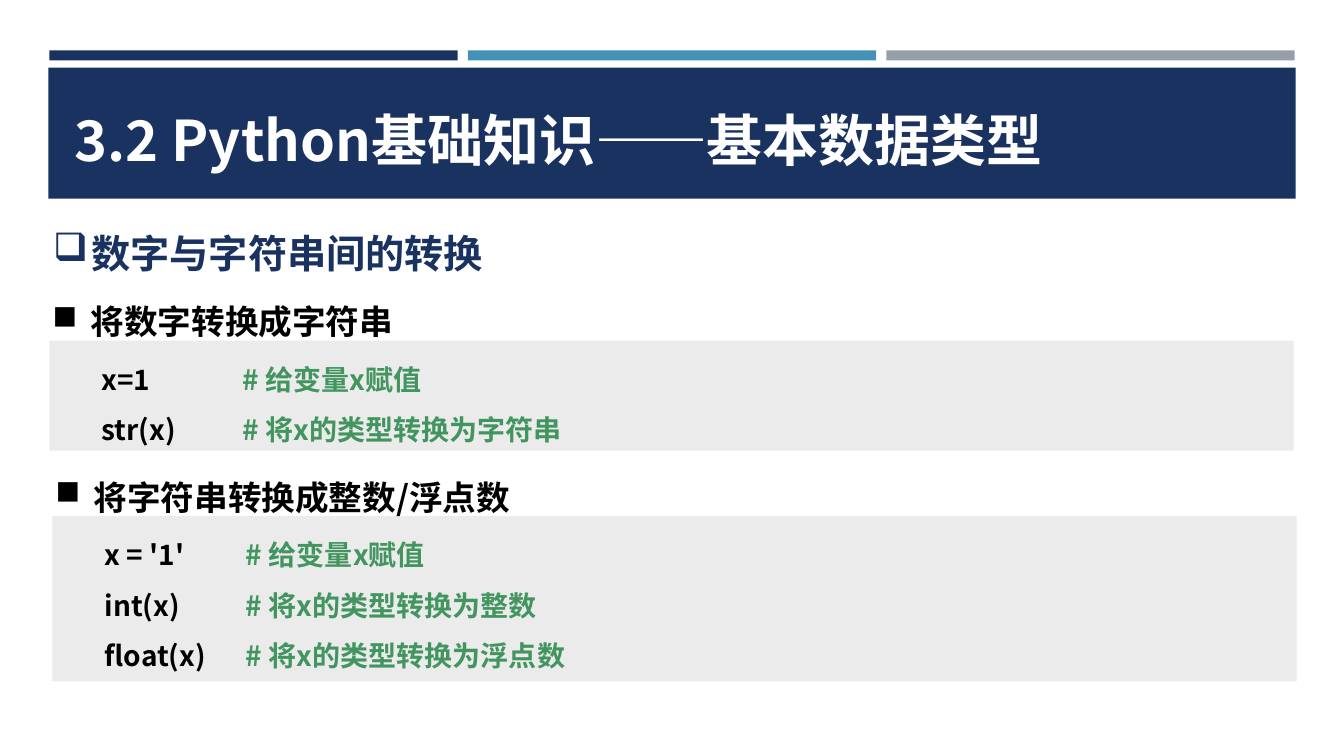
import lxml.etree
import pptx
import pptx.dml.color
import pptx.enum.shapes
import pptx.enum.text
import pptx.oxml.ns
import pptx.util

Inches = pptx.util.Inches
qn = pptx.oxml.ns.qn
ANCHOR = pptx.enum.text.MSO_ANCHOR
FIT = pptx.enum.text.MSO_AUTO_SIZE

THEME = {
    "font": "Noto Sans CJK SC",
    "navy": "1A3260", "blue": "4590B8", "gray": "969FA7", "panel": "EBEBEB",
    "white": "FFFFFF", "black": "000000", "comment": "42955F",
    "title": 40, "topic": 28, "heading": 24, "code": 20,
}


def add_panel(left, top, width, height, color):
    panel = slide.shapes.add_shape(
        pptx.enum.shapes.MSO_SHAPE.RECTANGLE,
        Inches(left), Inches(top), Inches(width), Inches(height))
    panel.shadow.inherit = False
    panel.fill.solid()
    panel.fill.fore_color.rgb = pptx.dml.color.RGBColor.from_string(THEME[color])
    panel.line.fill.background()


def write(box, place, lines, size, color, bullet=None, **paragraph_format):
    """Place a box and fill it with bold lines of one style."""
    for side, value in zip(("left", "top", "width", "height"), place):
        setattr(box, side, Inches(value))
    frame = box.text_frame
    frame.text = "\n".join(lines)
    frame.word_wrap = True
    frame.auto_size = FIT.SHAPE_TO_FIT_TEXT
    for paragraph in frame.paragraphs:
        if bullet:
            properties = paragraph._p.get_or_add_pPr()
            properties.set("marL", str(Inches(0.38)))
            properties.set("indent", str(-Inches(0.38)))
            lxml.etree.SubElement(properties, qn("a:buChar")).set("char", bullet)
        for name, value in paragraph_format.items():
            setattr(paragraph, name, value)
        font = paragraph.runs[0].font
        for name, value in {"name": THEME["font"], "bold": True,
                            "size": pptx.util.Pt(THEME[size])}.items():
            setattr(font, name, value)
        font.color.rgb = pptx.dml.color.RGBColor.from_string(THEME[color])
        latin = font._element.find(qn("a:latin"))
        east_asian = lxml.etree.Element(qn("a:ea"), typeface=THEME["font"])
        latin.addnext(east_asian)


deck = pptx.Presentation()
deck.slide_width, deck.slide_height = Inches(13.33), Inches(7.5)
slide = deck.slides.add_slide(deck.slide_layouts[5])

# Three stripes above the title band
for column, stripe_color in enumerate(("navy", "blue", "gray")):
    add_panel(0.49 + column * 4.15, 0.5, 4.05, 0.1, stripe_color)

# Title band, with the title brought in front of it
add_panel(0.48, 0.67, 12.37, 1.3, "navy")
title = slide.shapes.title
slide.shapes._spTree.append(title._element)
write(title, (0.64, 0.99, 12.2, 0.77), ["3.2 Python基础知识——基本数据类型"],
      "title", "white", alignment=pptx.enum.text.PP_ALIGN.LEFT)
title.text_frame.vertical_anchor = ANCHOR.MIDDLE

# Topic
topic = slide.shapes.add_textbox(0, 0, 0, 0)
write(topic, (0.43, 1.99, 12.4, 0.72), ["数字与字符串间的转换"], "topic", "navy",
      bullet="❑", line_spacing=1.5, space_after=pptx.util.Pt(12))

# Conversions: heading, then code and comments on a panel
conversions = [
    (0.42, 2.74, 1.09, "将数字转换成字符串",
     [("x=1", "# 给变量x赋值"),
      ("str(x)", "# 将x的类型转换为字符串")]),
    (0.45, 4.48, 1.64, "将字符串转换成整数/浮点数",
     [("x = '1'", "# 给变量x赋值"),
      ("int(x)", "# 将x的类型转换为整数"),
      ("float(x)", "# 将x的类型转换为浮点数")]),
]
for left, top, panel_height, heading, example in conversions:
    code_top = top + 0.64
    add_panel(left + 0.07, code_top, 12.34, panel_height, "panel")
    statements, comments = zip(*example)
    text_height = 0.03 + 0.51 * len(example)
    for place, lines, size, color, bullet in (
        ((left + 0.49, code_top, 1.4, text_height), statements, "code", "black", None),
        ((left + 1.89, code_top, 6.19, text_height), comments, "code", "comment", None),
        ((left, top, 12.42, 0.64), [heading], "heading", "black", "■"),
    ):
        write(slide.shapes.add_textbox(0, 0, 0, 0), place, lines, size, color,
              bullet=bullet, line_spacing=1.5)

deck.save("out.pptx")
